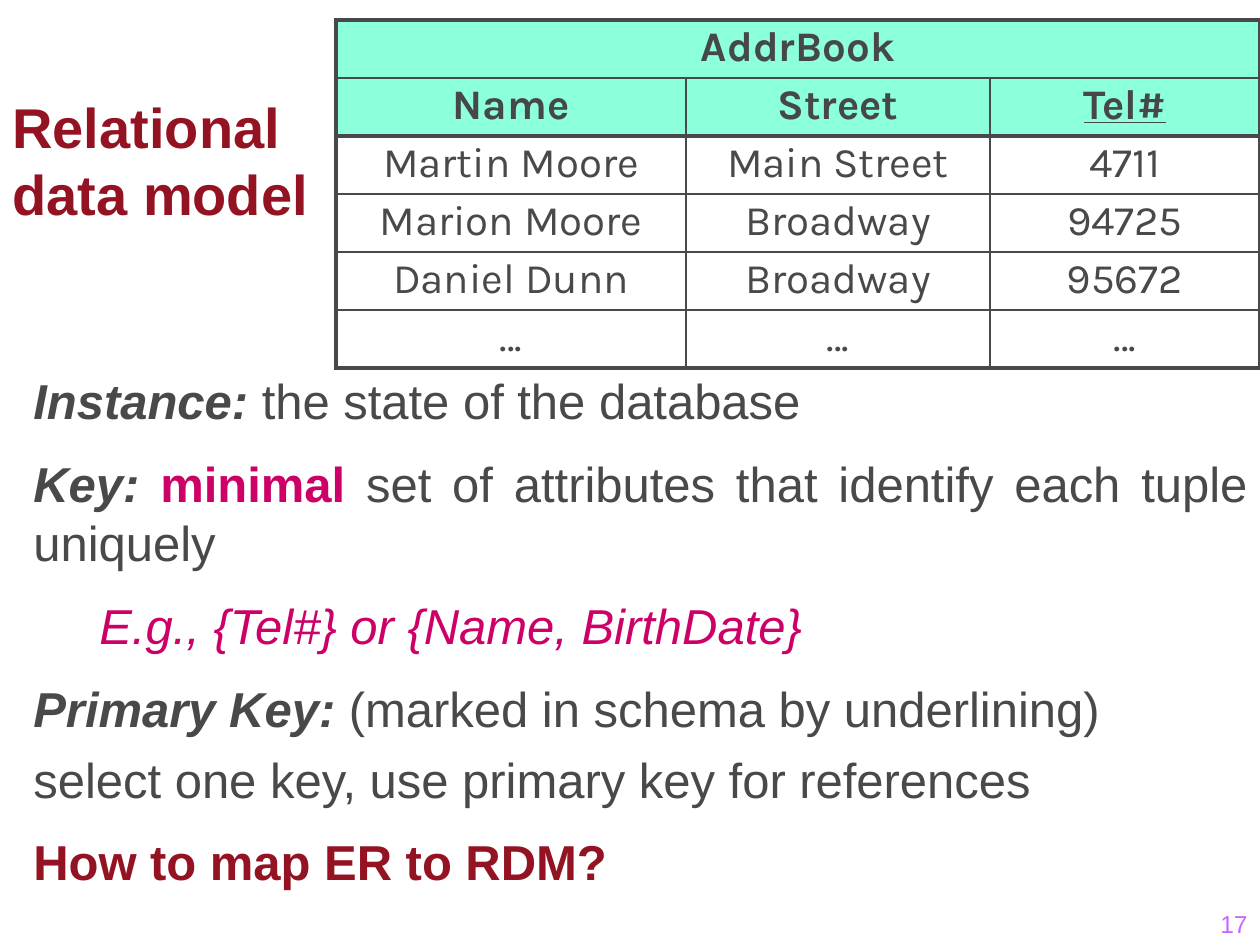
from pptx import Presentation
from pptx.dml.color import RGBColor
from pptx.enum import text as t
from pptx.oxml import parse_xml
from pptx.oxml.ns import nsdecls
from pptx.util import Emu, Pt

SCALE = 914400 / 126
INK = "47494B"
HEAD = "454749"
MINT = "8CFFDD"
WINE = "941323"
PINK = "CC0066"
LILAC = "CC66FF"
THICK, THIN = 2.25, 1
MID = t.PP_ALIGN.CENTER
FULL = t.PP_ALIGN.JUSTIFY
LEFT = t.PP_ALIGN.LEFT
RIGHT = t.PP_ALIGN.RIGHT

ROWS = [
    ["AddrBook", "", ""],
    ["Name", "Street", "Tel#"],
    ["Martin Moore", "Main Street", "4711"],
    ["Marion Moore", "Broadway", "94725"],
    ["Daniel Dunn", "Broadway", "95672"],
    ["...", "...", "..."],
]
COLS = [350, 304, 270]
TALL = 58

TERM = {"bold": True, "italic": True}
GAP = {"space_before": Pt(14)}
ITEM = {**GAP, "alignment": FULL}
SUB = {**GAP, "alignment": LEFT, "space_after": Pt(6), "level": 1}
TIGHT = {"line_spacing": 0.8}
NOTES = [
    (ITEM, 0, [("Instance: ", INK, TERM), ("the state of the database", INK, {})]),
    (ITEM, 0, [
        ("Key: ", INK, TERM),
        ("minimal ", PINK, {"bold": True}),
        ("set of attributes that identify each tuple uniquely", INK, {}),
    ]),
    (SUB, 66, [("E.g., {Tel#} or {Name, BirthDate}", PINK, {"italic": True})]),
    ({**ITEM, **TIGHT}, 0, [
        ("Primary Key: ", INK, TERM),
        ("(marked in schema by underlining)", INK, {}),
    ]),
    ({**SUB, **TIGHT}, 0, [("select one key, use primary key for references", INK, {})]),
    ({**SUB, **TIGHT}, 0, [("How to map ER to RDM?", WINE, {"bold": True})]),
]


def px(n):
    return Emu(round(n * SCALE))


def tint(code):
    return RGBColor.from_string(code)


def put(obj, form):
    for key, val in form.items():
        setattr(obj, key, val)


def add_run(para, words, hue, form):
    run = para.add_run()
    run.text = words
    put(run.font, form)
    run.font.color.rgb = tint(hue)


def add_box(slide, area, paras, form, size):
    box = slide.shapes.add_textbox(*map(px, area))
    frame = box.text_frame
    put(frame, {"word_wrap": True, **form})
    for i, (style, dent, runs) in enumerate(paras):
        para = frame.add_paragraph() if i else frame.paragraphs[0]
        put(para, style)
        props = para._p.get_or_add_pPr()
        props.set("marL", str(px(dent)))
        props.set("indent", "0")
        for words, hue, look in runs:
            add_run(para, words, hue, {"name": "Arial", "size": Pt(size), **look})


def add_edges(cell, sides):
    props = cell._tc.get_or_add_tcPr()
    for i, (side, wide) in enumerate(sides.items()):
        props.insert(i, parse_xml(
            f'<a:ln{side} {nsdecls("a")} w="{Pt(wide)}"><a:solidFill>'
            f'<a:srgbClr val="{INK}"/></a:solidFill></a:ln{side}>'
        ))


def fill_cell(cell, words, row, col):
    top = row < 2
    put(cell, {
        "margin_left": 0,
        "margin_right": 0,
        "margin_top": Pt(3.6),
        "margin_bottom": Pt(3.6),
    })
    if top:
        cell.fill.solid()
        cell.fill.fore_color.rgb = tint(MINT)
    else:
        cell.fill.background()
    last = len(ROWS) - 1
    add_edges(cell, {
        "L": THICK if col == 0 else THIN,
        "R": THICK if col == 2 or row == 0 else THIN,
        "T": THICK if row in (0, 2) else THIN,
        "B": THICK if row in (1, last) else THIN,
    })
    if words:
        para = cell.text_frame.paragraphs[0]
        put(para, {"alignment": MID, "line_spacing": 0.9, "space_before": Pt(4.8)})
        add_run(para, words, HEAD if top else INK, {
            "name": "Karla",
            "size": Pt(24),
            "bold": top,
            "underline": words == "Tel#",
        })


def add_grid(slide, left, top):
    area = (left, top, sum(COLS), TALL * len(ROWS))
    grid = slide.shapes.add_table(len(ROWS), len(COLS), *map(px, area)).table
    put(grid, {"first_row": False, "horz_banding": False})
    for col, wide in zip(grid.columns, COLS):
        col.width = px(wide)
    for row in grid.rows:
        row.height = px(TALL)
    grid.cell(0, 0).merge(grid.cell(0, 2))
    for r, row in enumerate(ROWS):
        for c, words in enumerate(row):
            fill_cell(grid.cell(r, c), words, r, c)


def main():
    deck = Presentation()
    put(deck, {"slide_width": px(1260), "slide_height": px(945)})
    slide = deck.slides.add_slide(deck.slide_layouts[6])
    add_grid(slide, 336, 20)
    add_box(slide, (21, 364, 1239, 562), NOTES, {}, 28)
    page = [({**GAP, "alignment": RIGHT}, 0, [("17", LILAC, {})])]
    add_box(slide, (998, 882, 262, 63), page, {"vertical_anchor": t.MSO_ANCHOR.BOTTOM}, 14)
    title = [({}, 0, [("Relational data model", WINE, {"bold": True})])]
    add_box(slide, (0, 86, 336, 149), title, {}, 32)
    deck.save("out.pptx")


if __name__ == "__main__":
    main()
